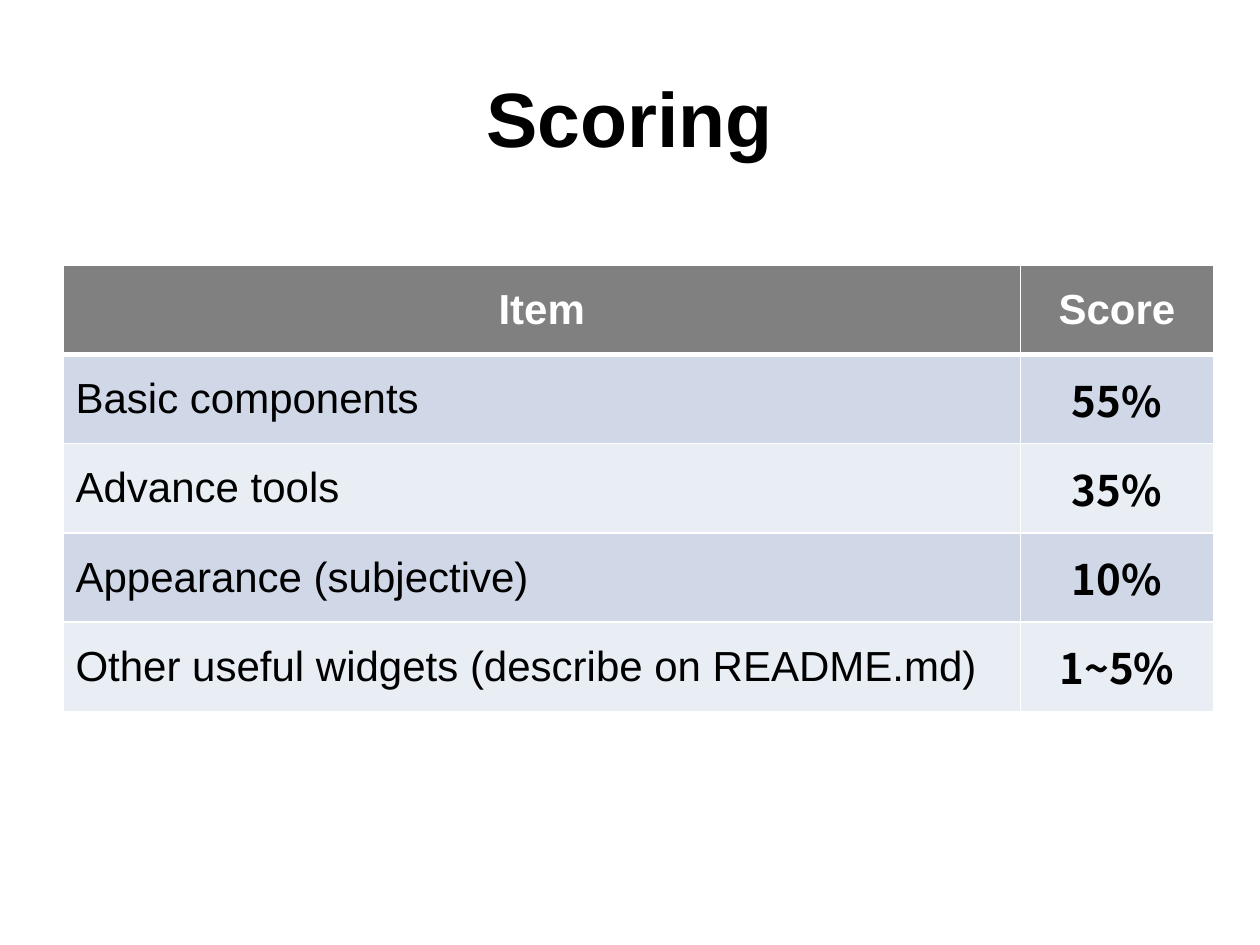
from pptx import Presentation
from pptx.dml.color import RGBColor
from pptx.enum.text import MSO_ANCHOR, PP_ALIGN
from pptx.oxml import parse_xml
from pptx.oxml.ns import nsdecls
from pptx.util import Cm, Pt

ROWS = [
    ("Item", "Score"),
    ("Basic components", "55%"),
    ("Advance tools", "35%"),
    ("Appearance (subjective)", "10%"),
    ("Other useful widgets (describe on README.md)", "1~5%"),
]


def style(frame, size, color, bold, face="Arial", align=PP_ALIGN.CENTER):
    para = frame.paragraphs[0]
    para.alignment = align
    font = para.runs[0].font
    font.size = Pt(size)
    font.name = face
    font.bold = bold
    font.color.rgb = RGBColor.from_string(color)


def edge(cell, side, width):
    """Draw a white border; call before the cell is filled, sides in L, R, T, B order."""
    cell._tc.get_or_add_tcPr().append(parse_xml(
        f'<a:ln{side} {nsdecls("a")} w="{Pt(width)}"><a:solidFill>'
        f'<a:srgbClr val="FFFFFF"/></a:solidFill></a:ln{side}>'))


deck = Presentation()
deck.slide_width, deck.slide_height = Cm(25.4), Cm(19.05)
slide = deck.slides.add_slide(deck.slide_layouts[6])

title = slide.shapes.add_textbox(Cm(1.27), Cm(0.76), Cm(22.86), Cm(3.18))
frame = title.text_frame
frame.word_wrap = True
frame.vertical_anchor = MSO_ANCHOR.MIDDLE
frame.text = "Scoring"
style(frame, 44, "000000", True)

table = slide.shapes.add_table(
    len(ROWS), 2, Cm(1.27), Cm(5.34), Cm(23.19), Cm(9)).table
table.columns[0].width = Cm(19.3)
table.columns[1].width = Cm(3.89)

for r, row in enumerate(ROWS):
    table.rows[r].height = Cm(1.8)
    head = r == 0
    fill = "808080" if head else ("E9EDF4", "D0D8E8")[r % 2]
    for c, text in enumerate(row):
        cell = table.cell(r, c)
        cell.vertical_anchor = MSO_ANCHOR.MIDDLE
        for side in "LRTB":
            thick = (head and side == "B") or (r == 1 and side == "T")
            edge(cell, side, 3 if thick else 1)
        cell.fill.solid()
        cell.fill.fore_color.rgb = RGBColor.from_string(fill)
        cell.text_frame.text = text
        score = c == 1
        style(cell.text_frame, 24, "FFFFFF" if head else "000000",
              head or score,
              "Noto Sans CJK SC" if score and not head else "Arial",
              PP_ALIGN.CENTER if head or score else PP_ALIGN.LEFT)

deck.save("out.pptx")
